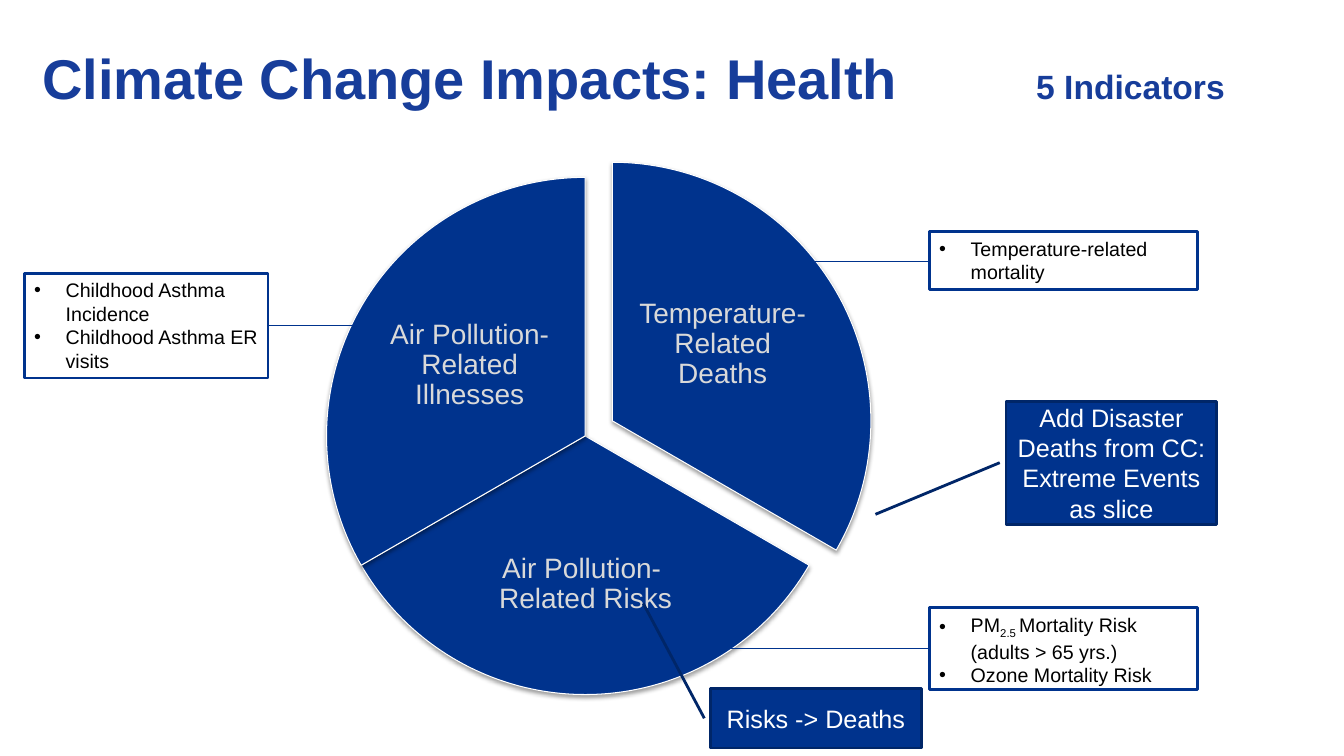
from lxml import etree
from pptx import Presentation
from pptx.dml.color import RGBColor
from pptx.enum import shapes, text
from pptx.oxml import ns
from pptx.util import Pt

NAVY, DEEP_NAVY, TITLE_BLUE = "00338D", "002668", "173D9A"
WHITE, BLACK, GREY = "FFFFFF", "000000", "D9D9D9"

HEADING = [("Climate Change Impacts: Health\t", 40), ("5 Indicators", 24)]
PIE_DIAMETER = 369.4
PIE_LEFT, PIE_TOP = 233.3, 126.7
PULL_OUT = (19.4, -10.8)
SLICES = [
    ("Temperature-Related Deaths", 162, 18, PULL_OUT, (453.6, 184.3, 125.3, 123.1)),
    ("Air Pollution- \vRelated Risks", 18, 90, (0, 0), (334.8, 360, 167, 114.5)),
    ("Air Pollution-Related Illnesses", 90, 162, (0, 0), (272.9, 199.4, 125.3, 123.1)),
]
LEADERS = [(191.5, 252.7, 232.6), (522, 663.8, 463), (582.5, 663.8, 186.5)]
INDICATORS = [
    ([[("PM", 0), ("2.5 ", -25000), ("Mortality Risk (adults > 65 yrs.)", 0)],
      [("Ozone Mortality Risk", 0)]], (663.8, 434.2, 191.5, 58.3)),
    ([[("Childhood Asthma Incidence", 0)], [("Childhood Asthma ER visits", 0)]],
     (17.3, 195.1, 174.2, 74.9)),
    ([[("Temperature-related mortality", 0)]], (663.8, 165.6, 191.5, 41)),
]
SUGGESTIONS = [
    ("Risks -> Deaths", (507.6, 491.8, 150.5, 42.5), (0.5, -0.03, -1.43, -0.32)),
    ("Add Disaster Deaths from CC: Extreme Events as slice",
     (718.6, 286.6, 150.5, 87.8), (0.5, -0.03, 0.92, -0.62)),
]


def rgb(value):
    return RGBColor.from_string(value)


def style(font, size, colour):
    font.name = "Arial"
    font.size = Pt(size)
    font.color.rgb = rgb(colour)


def child(parent, tag, **attributes):
    return etree.SubElement(parent, ns.qn(tag), attributes)


def add_panel(kind, place, fill, line, width):
    panel = slide.shapes.add_shape(kind, *map(Pt, place))
    panel.fill.solid()
    panel.fill.fore_color.rgb = rgb(fill)
    panel.line.color.rgb = rgb(line)
    panel.line.width = Pt(width)
    panel.shadow.inherit = False
    return panel


def centre_text(frame, words, size, colour):
    frame.word_wrap = True
    frame.vertical_anchor = text.MSO_ANCHOR.MIDDLE
    frame.text = words
    paragraph = frame.paragraphs[0]
    paragraph.alignment = text.PP_ALIGN.CENTER
    for run in paragraph.runs:
        style(run.font, size, colour)
    return paragraph


def set_margins(frame, margin):
    frame.margin_left = frame.margin_right = Pt(margin)
    frame.margin_top = frame.margin_bottom = Pt(margin)


def add_heading():
    heading = slide.shapes.title
    heading.left, heading.top, heading.width, heading.height = map(Pt, (30.2, 30.2, 899.3, 54))
    frame = heading.text_frame
    set_margins(frame, 0)
    frame.vertical_anchor = text.MSO_ANCHOR.MIDDLE
    frame.auto_size = text.MSO_AUTO_SIZE.NONE
    paragraph = frame.paragraphs[0]
    paragraph.alignment = text.PP_ALIGN.LEFT
    paragraph.line_spacing = 0.95
    tabs = child(paragraph._p.get_or_add_pPr(), "a:tabLst")
    child(tabs, "a:tab", pos=str(Pt(710)), algn="l")
    for words, size in HEADING:
        run = paragraph.add_run()
        run.text = words
        style(run.font, size, TITLE_BLUE)
        run.font.bold = True


def add_slice(label, start, end, offset, label_place):
    place = (PIE_LEFT + offset[0], PIE_TOP + offset[1], PIE_DIAMETER, PIE_DIAMETER)
    wedge = add_panel(shapes.MSO_SHAPE.PIE, place, NAVY, WHITE, 0.75)
    wedge.adjustments[0], wedge.adjustments[1] = start, end
    effects = wedge._element.spPr.find(ns.qn("a:effectLst"))
    shadow = child(effects, "a:outerShdw", blurRad=str(Pt(3.1)), dist=str(Pt(1.6)),
                   dir="5400000", rotWithShape="0")
    child(child(shadow, "a:srgbClr", val=BLACK), "a:alpha", val="38000")
    caption = slide.shapes.add_textbox(*map(Pt, label_place)).text_frame
    set_margins(caption, 2)
    centre_text(caption, label, 20, GREY).line_spacing = 0.9


def add_leader(start, end, height):
    leader = slide.shapes.add_connector(
        shapes.MSO_CONNECTOR.STRAIGHT, Pt(start), Pt(height), Pt(end), Pt(height))
    leader.line.color.rgb = rgb(NAVY)
    leader.line.width = Pt(0.75)
    child(leader._element.spPr, "a:effectLst")


def add_indicators(items, place):
    frame = add_panel(shapes.MSO_SHAPE.RECTANGLE, place, WHITE, NAVY, 2).text_frame
    frame.word_wrap = True
    frame.vertical_anchor = text.MSO_ANCHOR.TOP
    frame.auto_size = text.MSO_AUTO_SIZE.SHAPE_TO_FIT_TEXT
    for index, pieces in enumerate(items):
        paragraph = frame.add_paragraph() if index else frame.paragraphs[0]
        paragraph.alignment = text.PP_ALIGN.LEFT
        properties = paragraph._p.get_or_add_pPr()
        properties.set("marL", str(Pt(22.5)))
        properties.set("indent", str(Pt(-22.5)))
        child(properties, "a:buFont", typeface="Arial")
        child(properties, "a:buChar", char="•")
        for words, baseline in pieces:
            run = paragraph.add_run()
            run.text = words
            style(run.font, 14, BLACK)
            if baseline:
                run.font._element.set("baseline", str(baseline))


def add_suggestion(words, place, pointer):
    callout = add_panel(shapes.MSO_SHAPE.LINE_CALLOUT_1, place, NAVY, DEEP_NAVY, 2)
    for index, value in enumerate(pointer):
        callout.adjustments[index] = value
    centre_text(callout.text_frame, words, 18, WHITE)


deck = Presentation()
deck.slide_width, deck.slide_height = Pt(960), Pt(540)
slide = deck.slides.add_slide(deck.slide_layouts[5])
add_heading()
for part in SLICES:
    add_slice(*part)
for part in LEADERS:
    add_leader(*part)
for part in INDICATORS:
    add_indicators(*part)
for part in SUGGESTIONS:
    add_suggestion(*part)
deck.save("out.pptx")
